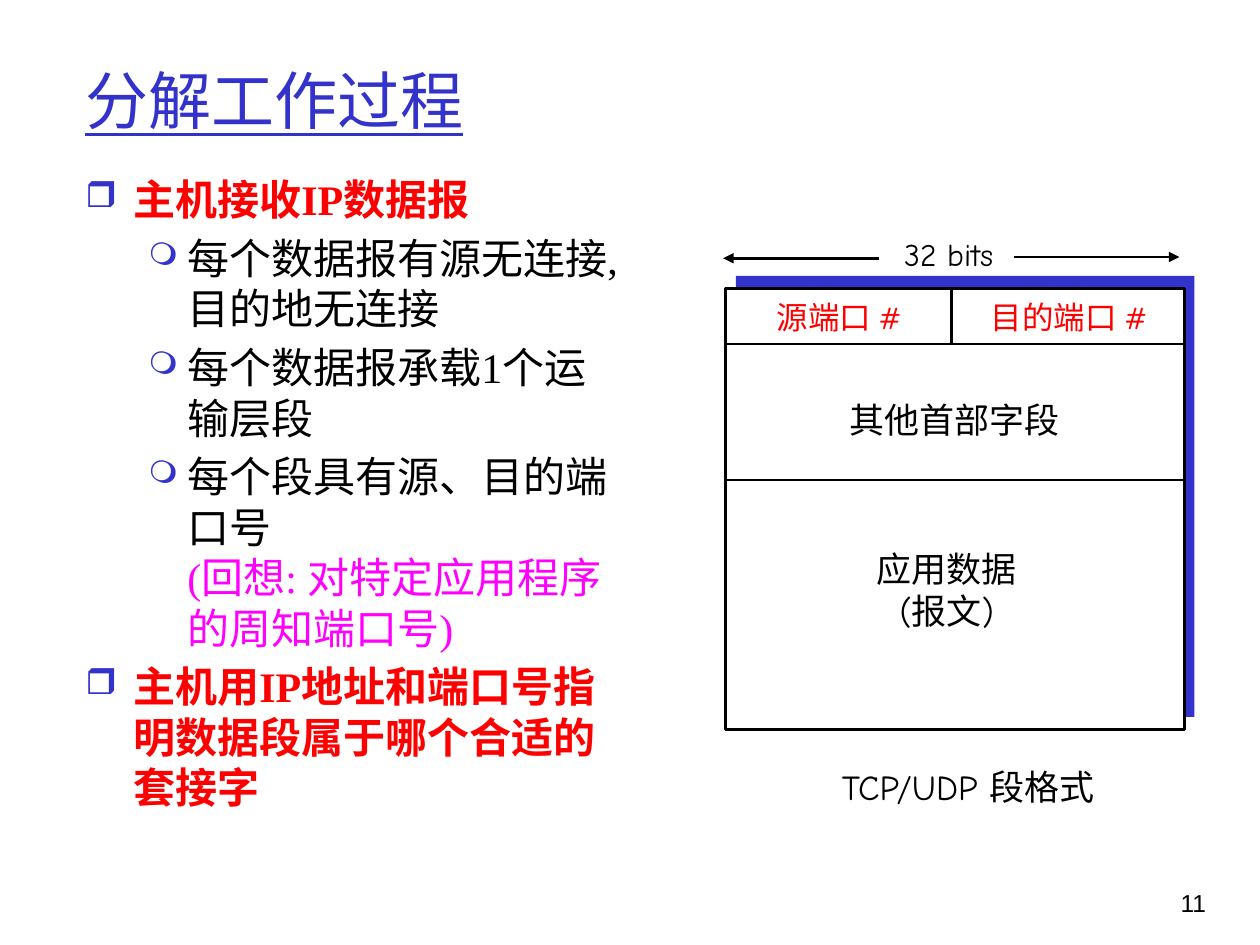
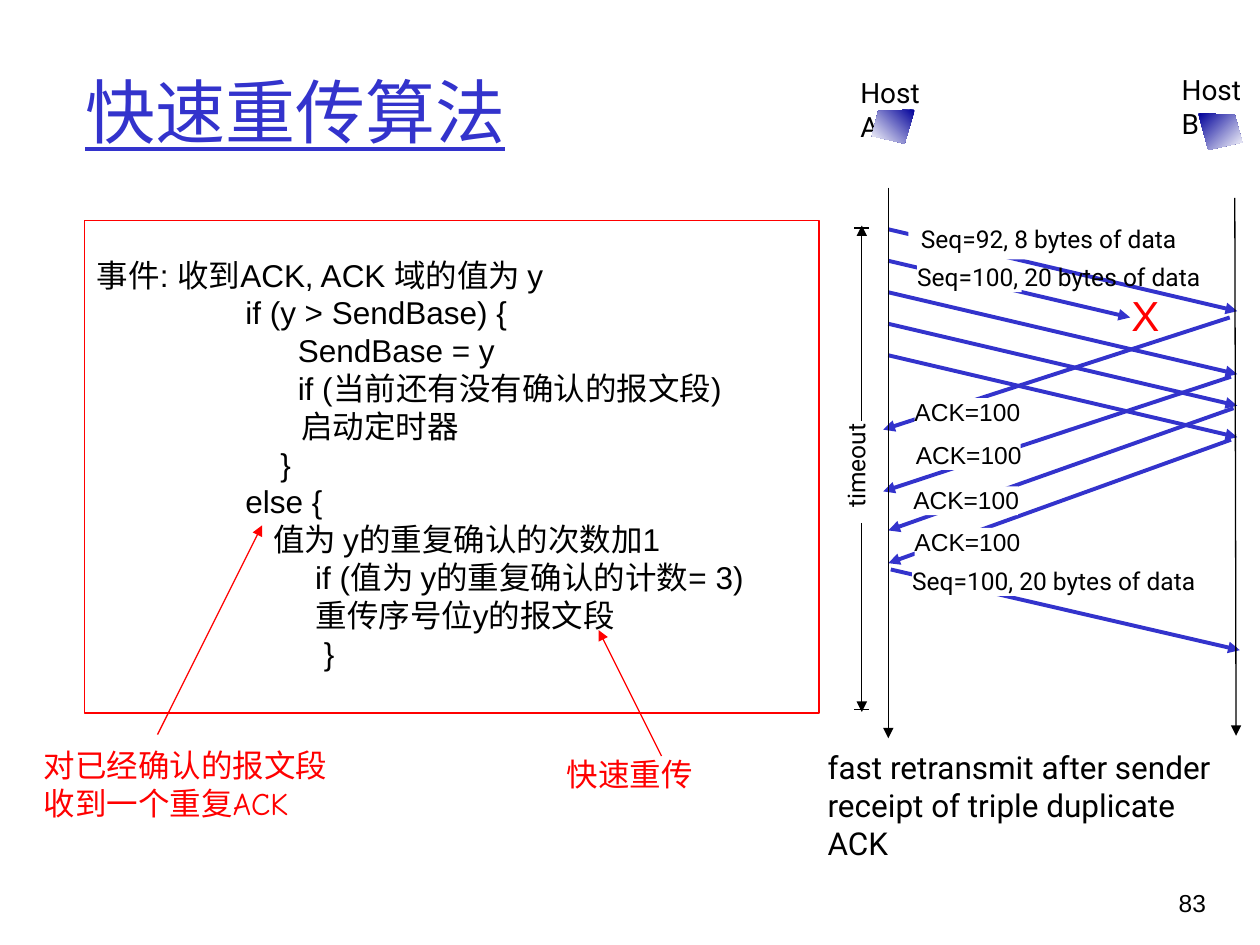
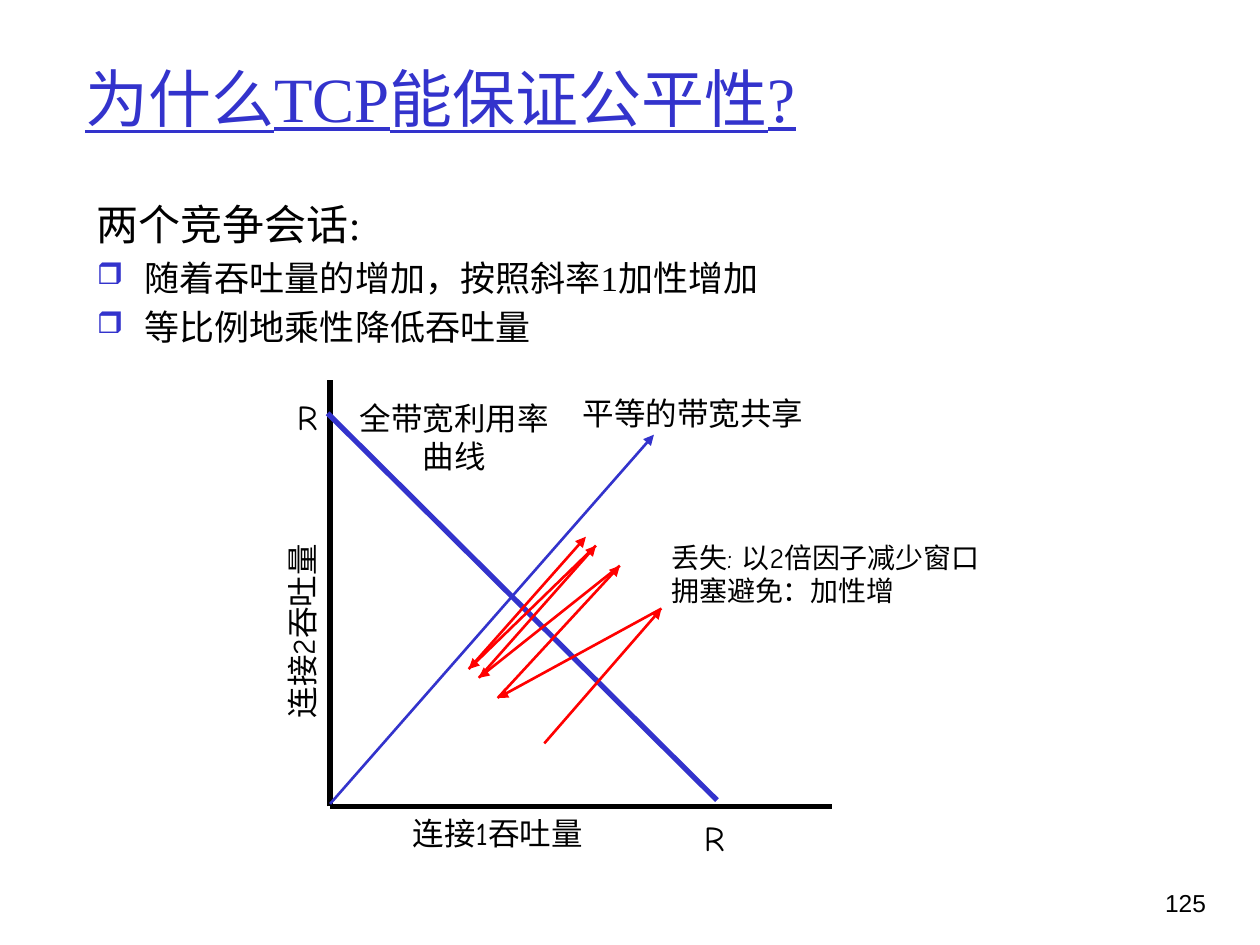
from itertools import pairwise

from lxml import etree
from pptx import Presentation
from pptx.dml.color import RGBColor
from pptx.enum.shapes import MSO_CONNECTOR, MSO_SHAPE
from pptx.enum.text import MSO_ANCHOR, PP_ALIGN
from pptx.oxml.ns import qn
from pptx.util import Inches, Pt

RECT = MSO_SHAPE.RECTANGLE
LINE = MSO_CONNECTOR.STRAIGHT
LEFT, MID, RIGHT = PP_ALIGN.LEFT, PP_ALIGN.CENTER, PP_ALIGN.RIGHT
MIDDLE = MSO_ANCHOR.MIDDLE

COLOR = {"blue": "3333CC", "navy": "000099", "red": "FF0000",
         "pink": "FF00FF", "black": "000000", "white": "FFFFFF"}
SERIF, SANS, COMIC, ROBOTO = "Times New Roman", "Arial", "Comic Neue", "Roboto"
# level: left margin, hanging indent, sign, size in percent
BULLETS = {0: (0.38, 0.38, "❒", 85), 1: (0.81, 0.31, "❍", 75)}


def rgb(name):
    return RGBColor.from_string(COLOR[name])


def style(font, size, face, color, bold=False, under=False):
    font.size, font.name, font.color.rgb = Pt(size), face, rgb(color)
    font.bold, font.underline = bold, under


def bullet(para, level):
    margin, hang, sign, size = BULLETS[level]
    props = para._p.get_or_add_pPr()
    props.set("marL", str(Inches(margin)))
    props.set("indent", str(-Inches(hang)))
    props.set("hangingPunct", "0")
    tint = etree.SubElement(props, qn("a:buClr"))
    etree.SubElement(tint, qn("a:srgbClr")).set("val", COLOR["blue"])
    etree.SubElement(props, qn("a:buSzPct")).set("val", str(size * 1000))
    etree.SubElement(props, qn("a:buChar")).set("char", sign)


class Pane:
    """A region of a slide; its parts are placed from its top left corner."""

    def __init__(self, slide, x=0, y=0):
        self.shapes, self.x, self.y = slide.shapes, x, y

    def at(self, x, y):
        return Inches(self.x + x), Inches(self.y + y)

    def frame(self, x, y, w, h, wrap=True):
        box = self.shapes.add_textbox(*self.at(x, y), Inches(w), Inches(h))
        box.text_frame.word_wrap = wrap
        return box

    def text(self, x, y, w, h, text, size=18, face=COMIC, color="black",
             align=LEFT, wrap=True, under=False):
        """Write one paragraph for each line of the text."""
        box = self.frame(x, y, w, h, wrap)
        frame = box.text_frame
        for i, row in enumerate(text.split("\n")):
            para = frame.paragraphs[0] if i == 0 else frame.add_paragraph()
            para.add_run().text = row
            para.alignment = align
            style(para.font, size, face, color, under=under)
        return box

    def rect(self, x, y, w, h, fill=None, line=None, width=1.5):
        box = self.shapes.add_shape(RECT, *self.at(x, y), Inches(w), Inches(h))
        box.shadow.inherit = False
        if fill:
            box.fill.solid()
            box.fill.fore_color.rgb = rgb(fill)
        else:
            box.fill.background()
        if line:
            box.line.color.rgb, box.line.width = rgb(line), Pt(width)
        else:
            box.line.fill.background()

    def line(self, start, end, color="black", width=1.5, arrow=False):
        link = self.shapes.add_connector(LINE, *self.at(*start), *self.at(*end))
        link.line.color.rgb, link.line.width = rgb(color), Pt(width)
        if arrow:
            tail = etree.SubElement(link.line._get_or_add_ln(), qn("a:tailEnd"))
            tail.set("type", "triangle")
        etree.SubElement(link._element.spPr, qn("a:effectLst"))

    def host(self, points, angle):
        spots = [self.at(*p) for p in points]
        form = self.shapes.build_freeform(*spots[0], scale=1.0)
        form.add_line_segments(spots[1:], close=True)
        icon = form.convert_to_shape()
        icon.shadow.inherit = False
        icon.line.fill.background()
        icon.fill.gradient()
        icon.fill.gradient_angle = angle
        for stop, place, name in zip(icon.fill.gradient_stops, (0, 1),
                                     ("navy", "white")):
            stop.position, stop.color.rgb = place, rgb(name)


def start(deck, title, number, height, size=36):
    """Add a slide with its title and number."""
    slide = deck.slides.add_slide(deck.slide_layouts[6])
    page = Pane(slide)
    page.text(8.93, 7, 0.74, 0.5, number, 14, SANS, align=RIGHT)
    head = page.text(0.58, 0.25, 8.5, height, title, size, SERIF, "blue",
                     under=True)
    head.text_frame.vertical_anchor = MIDDLE
    return slide


def points(pane, w, h, rows):
    """Write rows of (level, size, color, bold, text, pink note)."""
    frame = pane.frame(0, 0, w, h).text_frame
    for i, (level, size, color, bold, text, note) in enumerate(rows):
        para = frame.paragraphs[0] if i == 0 else frame.add_paragraph()
        if level is not None:
            bullet(para, level)
        if i:
            para.space_before = Pt(size * 0.2)
        style(para.font, size, SERIF, color, bold)
        para.add_run().text = text
        if note:
            para.add_line_break()
            run = para.add_run()
            run.text = note
            run.font.color.rgb = rgb("pink")


def segment(pane):
    """Draw the fields of a transport segment."""
    w, h = 3.64, 3.5
    pane.rect(0.08, -0.1, w, h, "blue")
    pane.rect(0, 0, w, h, "white", "black")
    pane.text(0.28, 0.03, 1.24, 0.4, "源端口 #", color="red", align=MID)
    pane.text(1.98, 0.03, 1.49, 0.4, "目的端口 #", color="red", align=MID)
    for y in (0.44, 1.52):
        pane.line((0, y), (w, y))
    pane.line((1.79, 0.44), (1.79, 0))
    pane.text(1.25, -0.47, 1.04, 0.4, "32 bits", align=MID)
    pane.line((2.29, -0.25), (3.6, -0.25), arrow=True)
    pane.line((1.22, -0.24), (-0.02, -0.24), arrow=True)
    for x, y, wide, high, text in (
            (1.1, 2.01, 1.31, 0.77, "应用数据\n(报文)"),
            (0.88, 0.82, 1.87, 0.43, "其他首部字段"),
            (0.77, 3.74, 2.31, 0.43, "TCP/UDP 段格式")):
        pane.text(x, y, wide, high, text, 20, align=MID)


CODE = """事件: 收到ACK, ACK 域的值为 y
                 if (y > SendBase) {
                       SendBase = y
                       if (当前还有没有确认的报文段)
                             启动定时器
                     }
                 else {
                         值为 y的重复确认的次数加1
                         if (值为 y的重复确认的计数= 3)
                               重传序号位y的报文段
                          }"""


def code(pane):
    """Draw the framed algorithm and its two notes."""
    w, h = 5.83, 3.91
    pane.rect(0, 0, w, h, line="red", width=0.75)
    pane.text(0, 0.23, w, h - 0.23, CODE, face=SANS)
    pane.text(-0.42, 4.12, 2.45, 0.7, "对已经确认的报文段\n收到一个重复ACK",
              color="red", wrap=False)
    pane.text(3.73, 4.19, 1.2, 0.4, "快速重传", color="red", align=MID,
              wrap=False)
    for a, b in (((0.58, 4.08), (1.41, 2.42)), ((4.58, 4.25), (4.08, 3.25))):
        pane.line(a, b, "red", 0.75, True)


def clock(pane):
    """Draw the timeout span."""
    pane.text(-0.55, 1.69, 1.1, 0.43, "timeout", 14, ROBOTO,
              align=MID).rotation = 270
    for a, b in ((1.55, 0), (2.36, 3.86)):
        pane.line((0, a), (0, b), width=0.75, arrow=True)
    for y in (0.02, 3.84):
        pane.line((-0.06, y), (0.06, y), width=0.75)


def tag(pane, x, y, w, text, face):
    """Label a message over a white patch."""
    pane.rect(x + 0.1, y + 0.06, 0.83, 0.23, "white")
    pane.text(x, y, w, 0.33, text, 14, face, wrap=False)


def trace(pane):
    """Draw the messages between two hosts; the pane starts on host A's line."""
    sent = [((0, 0.33 + 0.25 * k), (2.77, 0.98 + 0.25 * k)) for k in range(5)]
    sent[1] = (sent[1][0], (1.92, 1.03))
    acks = [((2.71, 1.03), (-0.04, 1.92)), ((2.72, 1.5), (-0.04, 2.41)),
            ((2.74, 1.75), (0, 2.72)), ((2.72, 2), (0, 2.98))]
    again = ((0.02, 3.03), (2.79, 3.67))
    for a, b in sent + acks + [again]:
        pane.line(a, b, "blue", 2.25, True)
    pane.line((0, 0), (0, 4.37), width=0.75, arrow=True)
    pane.line((2.75, 0.08), (2.76, 4.35), width=0.75, arrow=True)
    pane.text(1.83, 0.76, 0.31, 0.5, "X", 24, SANS, "red")
    pane.text(-0.58, 4.4, 3.48, 0.7, "fast retransmit after sender\n"
              "receipt of triple duplicate ACK", face=ROBOTO)
    pane.text(2.23, -0.96, 0.85, 0.37, "Host B", 16, ROBOTO)
    pane.text(-0.32, -0.94, 0.85, 0.37, "Host A", 16, ROBOTO)
    pane.rect(0.16, 0.24, 2.28, 0.33, "white")
    pane.text(0.16, 0.24, 2.28, 0.33, "Seq=92, 8 bytes of data", 14, ROBOTO,
              wrap=False)
    for x, y in ((0.11, 1.61), (0.12, 1.95), (0.1, 2.31), (0.11, 2.64)):
        tag(pane, x, y, 1.04, "ACK=100", SANS)
    for x, y in ((0.13, 0.54), (0.09, 2.95)):
        tag(pane, x, y, 2.49, "Seq=100, 20 bytes of data", ROBOTO)
    pane.host([(0.21, -0.62), (-0.08, -0.61), (-0.13, -0.41), (0.13, -0.35)],
              225)
    pane.host([(2.46, -0.59), (2.75, -0.58), (2.81, -0.36), (2.54, -0.3)],
              315)


def graph(pane):
    """Plot shared throughput; the pane starts at the origin of the axes."""
    pane.line((0, 0), (3.98, 0), width=3)
    pane.line((0, 0), (0, -3.38), width=3)
    pane.line((0, -0.02), (2.57, -2.95), "blue", arrow=True)
    pane.line((-0.02, -3.12), (3.07, -0.05), "blue", 3)
    for x, y in ((-0.4, -3.31), (2.83, 0.03)):
        pane.text(x, y, 0.44, 0.43, "R", 20, align=MID)
    pane.text(0.94, -3.32, 3.88, 0.4, "平等的带宽共享", align=MID)
    pane.text(-0.61, 0.01, 3.88, 0.4, "连接1吞吐量", align=MID)
    pane.text(-2.16, -1.59, 3.88, 0.4, "连接2吞吐量", align=MID).rotation = 270
    path = [(1.7, -0.5), (2.63, -1.57), (1.33, -0.86), (2.3, -1.91),
            (1.18, -1.02), (2.11, -2.07), (1.1, -1.09), (2.03, -2.14)]
    for a, b in pairwise(path):
        pane.line(a, b, "red", arrow=True)
    note = pane.text(2.61, -2.16, 2.69, 0.64,
                     "丢失: 以2倍因子减少窗口\n拥塞避免：加性增", 16)
    note.text_frame.paragraphs[1].font.name = SERIF
    pane.text(0.11, -3.28, 1.75, 0.71, "全带宽利用率曲线", align=MID)


def main():
    deck = Presentation()
    deck.slide_width, deck.slide_height = Inches(10), Inches(7.5)

    slide = start(deck, "分解工作过程", "11", 1.08)
    points(Pane(slide, 0.58, 1.33), 4.5, 5.14, [
        (0, 24, "red", True, "主机接收IP数据报", None),
        (1, 24, "black", False, "每个数据报有源无连接, 目的地无连接", None),
        (1, 24, "black", False, "每个数据报承载1个运输层段", None),
        (1, 24, "black", False, "每个段具有源、目的端口号",
         "(回想: 对特定应用程序的周知端口号)"),
        (0, 24, "red", True,
         "主机用IP地址和端口号指明数据段属于哪个合适的套接字", None)])
    segment(Pane(slide, 5.76, 2.29))

    slide = start(deck, "快速重传算法", "83", 1.25, 40)
    code(Pane(slide, 0.67, 1.75))
    trace(Pane(slide, 7.05, 1.49))
    clock(Pane(slide, 6.84, 1.79))

    slide = start(deck, "为什么TCP能保证公平性?", "125", 1.04)
    points(Pane(slide, 0.67, 1.53), 9.08, 5.08, [
        (None, 24, "black", False, "两个竞争会话:", None),
        (0, 20, "black", False, "随着吞吐量的增加，按照斜率1加性增加", None),
        (0, 20, "black", False, "等比例地乘性降低吞吐量", None)])
    graph(Pane(slide, 2.62, 6.4))

    deck.save("out.pptx")


if __name__ == "__main__":
    main()
